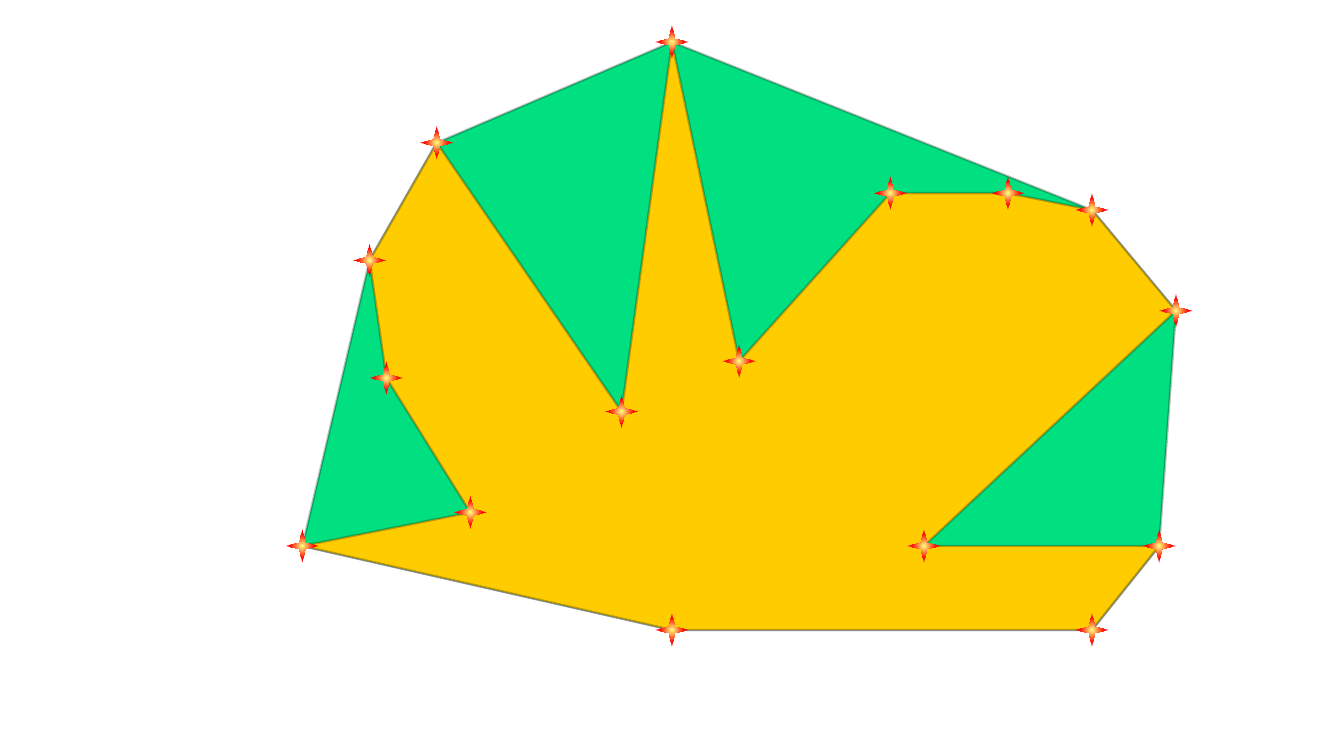
from lxml import etree
from pptx import Presentation
from pptx.dml.color import RGBColor
from pptx.enum.shapes import MSO_SHAPE as Shape
from pptx.oxml import parse_xml
from pptx.oxml.ns import nsdecls, qn
from pptx.util import Pt

PX = 9144  # EMU per px, 100 px to the inch
STAR_SIZE = 40
COLORS = {
    "hull": "00E080",
    "polygon": "FFCC00",
    "outline": "000000",
    "star_center": "FFFF80",
    "star_tip": "FF0000",
}
OUTLINE_OPACITY = 25  # percent

# Polygon corners in order; True marks a corner on the convex hull
CORNERS = [
    (1300, 750, True),
    (1380, 650, True),
    (1100, 650, False),
    (1400, 370, True),
    (1300, 250, True),
    (1200, 230, False),
    (1060, 230, False),
    (880, 430, False),
    (800, 50, True),
    (740, 490, False),
    (520, 170, True),
    (440, 310, True),
    (460, 450, False),
    (560, 610, False),
    (360, 650, True),
    (800, 750, True),
]


def add_polygon(slide, points, color):
    """Add a closed, filled outline with a translucent line."""
    builder = slide.shapes.build_freeform(*points[0], scale=PX)
    builder.add_line_segments(points[1:], close=True)
    shape = builder.convert_to_shape()
    shape.shadow.inherit = False
    shape.fill.solid()
    shape.fill.fore_color.rgb = RGBColor.from_string(COLORS[color])
    shape.line.width = Pt(2)
    shape.line.color.rgb = RGBColor.from_string(COLORS["outline"])
    line_color = shape.line._ln.find(".//" + qn("a:srgbClr"))
    alpha = etree.SubElement(line_color, qn("a:alpha"))
    alpha.set("val", str(OUTLINE_OPACITY * 1000))


def add_star(slide, x, y):
    """Add a four-pointed star centred on a corner, with a radial gradient."""
    left, top = x - STAR_SIZE // 2, y - STAR_SIZE // 2
    shape = slide.shapes.add_shape(
        Shape.STAR_4_POINT, left * PX, top * PX, STAR_SIZE * PX, STAR_SIZE * PX)
    shape.shadow.inherit = False
    shape.line.fill.background()
    gradient = parse_xml(
        f'<a:gradFill {nsdecls("a")} rotWithShape="1"><a:gsLst>'
        f'<a:gs pos="0"><a:srgbClr val="{COLORS["star_center"]}"/></a:gs>'
        f'<a:gs pos="53000"><a:srgbClr val="{COLORS["star_tip"]}"/></a:gs>'
        '</a:gsLst><a:path path="circle">'
        '<a:fillToRect l="50000" t="50000" r="50000" b="50000"/>'
        '</a:path></a:gradFill>')
    shape._element.spPr.find(qn("a:prstGeom")).addnext(gradient)


def main():
    presentation = Presentation()
    presentation.slide_width = 1600 * PX
    presentation.slide_height = 900 * PX
    slide = presentation.slides.add_slide(presentation.slide_layouts[6])

    # Convex hull behind the polygon
    hull = [(x, y) for x, y, on_hull in CORNERS if on_hull]
    polygon = [(x, y) for x, y, _ in CORNERS]
    add_polygon(slide, hull, "hull")
    add_polygon(slide, polygon, "polygon")

    # A star on every corner
    for x, y in polygon:
        add_star(slide, x, y)

    presentation.save("out.pptx")


if __name__ == "__main__":
    main()
